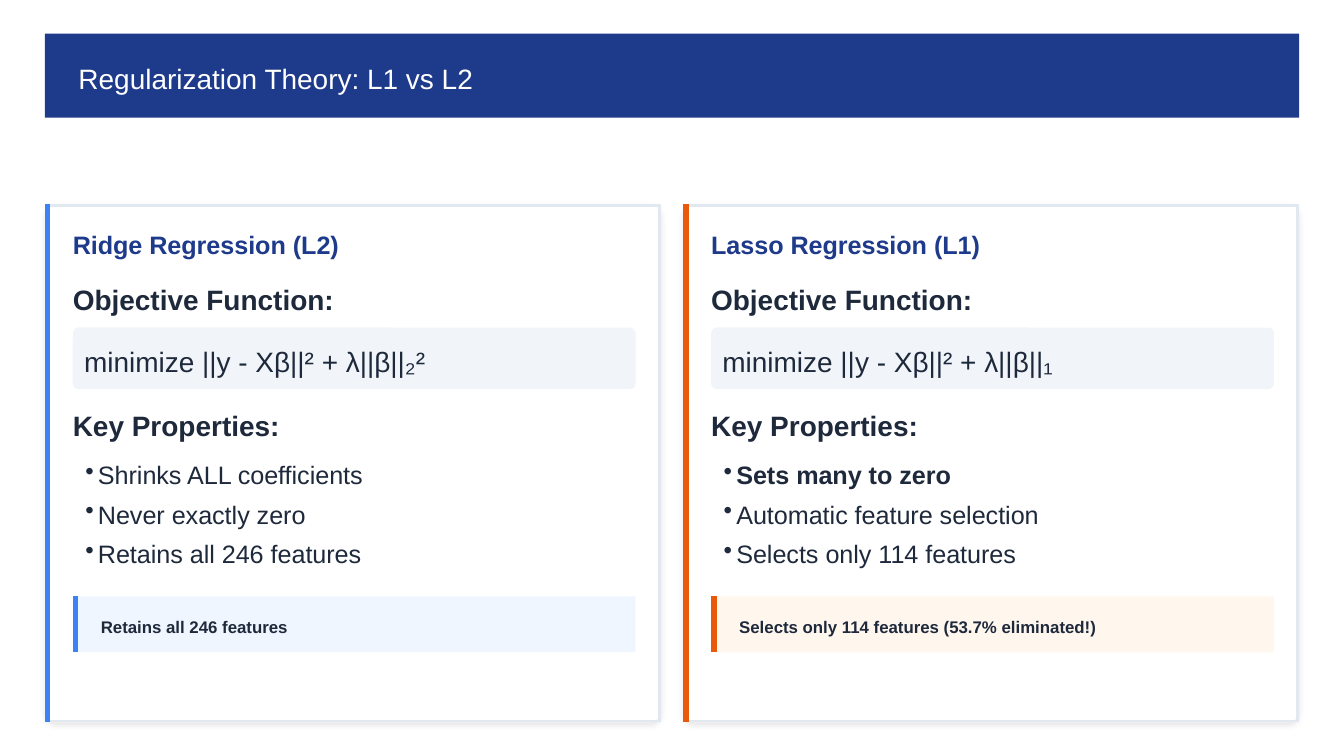
from dataclasses import dataclass

from lxml.etree import SubElement
from pptx import Presentation
from pptx.dml.color import RGBColor
from pptx.enum.shapes import MSO_CONNECTOR as Connector, MSO_SHAPE as Shape
from pptx.enum.text import MSO_ANCHOR as Anchor, MSO_AUTO_SIZE as AutoSize, PP_ALIGN as Align
from pptx.oxml.ns import qn
from pptx.util import Emu, Pt

PX = 9525  # 96 px to the inch


@dataclass(frozen=True)
class Theme:
    font: str = "Arial"
    white: str = "FFFFFF"
    navy: str = "1E3A8A"
    ink: str = "1E293B"
    border: str = "E2E8F0"
    formula: str = "F1F5F9"
    body: float = 15
    item: float = 13.5
    note: float = 9


@dataclass(frozen=True)
class Style:
    size: float
    color: str
    bold: bool = False
    leading: float = 21


@dataclass(frozen=True)
class Item:
    text: str
    bold: bool = False


@dataclass(frozen=True)
class Card:
    left: int
    title: str
    formula: str
    items: tuple[Item, ...]
    note: str
    accent: str
    tint: str


THEME = Theme()
TITLE = Style(THEME.body, THEME.white)
CARD_TITLE = Style(THEME.item, THEME.navy, True, 16.2)
HEADING = Style(THEME.body, THEME.ink, True)
FORMULA = Style(THEME.body, THEME.ink)
ITEM = Style(THEME.item, THEME.ink)
ITEM_BOLD = Style(THEME.item, THEME.ink, True)
NOTE = Style(THEME.note, THEME.ink, True, 12.6)

CARD_TOP, CARD_WIDTH, CARD_HEIGHT = 146, 440, 370
INNER_WIDTH = 402

CARDS = (
    Card(32, "Ridge Regression (L2)", "minimize ||y - Xβ||² + λ||β||₂²",
         (Item("Shrinks ALL coefficients"), Item("Never exactly zero"),
          Item("Retains all 246 features")),
         "Retains all 246 features", "3B82F6", "EFF6FF"),
    Card(488, "Lasso Regression (L1)", "minimize ||y - Xβ||² + λ||β||₁",
         (Item("Sets many to zero", True), Item("Automatic feature selection"),
          Item("Selects only 114 features")),
         "Selects only 114 features (53.7% eliminated!)", "EA580C", "FFF7ED"),
)


def px(*lengths: int) -> list[Emu]:
    return [Emu(length * PX) for length in lengths]


def add_block(slide, left: int, top: int, width: int, height: int, fill: str, radius: int = 0):
    kind = Shape.ROUNDED_RECTANGLE if radius else Shape.RECTANGLE
    block = slide.shapes.add_shape(kind, *px(left, top, width, height))
    if radius:
        block.adjustments[0] = radius / min(width, height)
    block.shadow.inherit = False
    block.fill.solid()
    block.fill.fore_color.rgb = RGBColor.from_string(fill)
    block.line.fill.background()
    return block


def add_soft_shadow(block) -> None:
    effects = block._element.spPr.find(qn("a:effectLst"))
    shadow = SubElement(effects, qn("a:outerShdw"), blurRad=str(Pt(3)), dist=str(Pt(1.5)),
                        dir="5400000", algn="bl", rotWithShape="0")
    color = SubElement(shadow, qn("a:srgbClr"), val="000000")
    SubElement(color, qn("a:alpha"), val="10000")


def add_line(slide, x1: int, y1: int, x2: int, y2: int, color: str, weight: float) -> None:
    line = slide.shapes.add_connector(Connector.STRAIGHT, *px(x1, y1, x2, y2))
    line.line.color.rgb = RGBColor.from_string(color)
    line.line.width = Pt(weight)
    SubElement(line._element.spPr, qn("a:effectLst"))


def format_frame(frame, inset: int = 0) -> None:
    frame.word_wrap = True
    frame.auto_size = AutoSize.NONE
    frame.vertical_anchor = Anchor.TOP
    frame.margin_left = Emu(inset * PX)
    frame.margin_top = frame.margin_right = frame.margin_bottom = 0


def write(para, text: str, style: Style) -> None:
    para.text = text
    para.alignment = Align.LEFT
    para.line_spacing = Pt(style.leading)
    para.font.name = THEME.font
    para.font.size = Pt(style.size)
    para.font.bold = style.bold
    para.font.color.rgb = RGBColor.from_string(style.color)


def add_text(slide, left: int, top: int, width: int, height: int, text: str, style: Style) -> None:
    box = slide.shapes.add_textbox(*px(left, top, width, height))
    format_frame(box.text_frame)
    write(box.text_frame.paragraphs[0], text, style)


def add_bullets(slide, left: int, top: int, width: int, height: int,
                items: tuple[Item, ...]) -> None:
    box = slide.shapes.add_textbox(*px(left, top, width, height))
    frame = box.text_frame
    format_frame(frame, inset=9)
    for index, item in enumerate(items):
        para = frame.add_paragraph() if index else frame.paragraphs[0]
        properties = para._p.get_or_add_pPr()
        properties.set("marL", str(9 * PX))
        properties.set("indent", str(-9 * PX))
        SubElement(properties, qn("a:buChar"), char="•")
        write(para, item.text, ITEM_BOLD if item.bold else ITEM)


def add_header(slide, text: str) -> None:
    add_block(slide, 32, 24, 896, 60, THEME.navy)
    title = slide.shapes.title
    title.left, title.top, title.width, title.height = px(56, 40, 865, 28)
    format_frame(title.text_frame)
    write(title.text_frame.paragraphs[0], text, TITLE)
    # Bring the title in front of its band
    slide.shapes._spTree.append(title._element)


def add_card(slide, card: Card) -> None:
    left, right = card.left, card.left + CARD_WIDTH
    top, bottom = CARD_TOP, CARD_TOP + CARD_HEIGHT
    inner = left + 20

    # Panel with its border and accent edge
    add_soft_shadow(add_block(slide, left, top, CARD_WIDTH, CARD_HEIGHT, THEME.white, radius=8))
    add_line(slide, left, top + 1, right, top + 1, THEME.border, 1.5)
    add_line(slide, right - 1, top, right - 1, bottom, THEME.border, 1.5)
    add_line(slide, left, bottom - 1, right, bottom - 1, THEME.border, 1.5)
    add_line(slide, left + 2, top, left + 2, bottom, card.accent, 3)

    # Objective function
    add_text(slide, inner, 164, 410, 21, card.title, CARD_TITLE)
    add_text(slide, inner, 198, 410, 28, "Objective Function:", HEADING)
    add_block(slide, inner, 234, INNER_WIDTH, 44, THEME.formula, radius=4)
    add_text(slide, inner + 8, 242, 394, 28, card.formula, FORMULA)

    # Key properties
    add_text(slide, inner, 288, 410, 28, "Key Properties:", HEADING)
    add_bullets(slide, inner, 322, INNER_WIDTH, 92, card.items)

    # Highlighted note
    add_block(slide, inner, 426, INNER_WIDTH, 40, card.tint)
    add_line(slide, inner + 2, 426, inner + 2, 466, card.accent, 3)
    add_text(slide, inner + 20, 438, 374, 16, card.note, NOTE)


def main() -> None:
    deck = Presentation()
    deck.slide_width, deck.slide_height = px(960, 540)
    slide = deck.slides.add_slide(deck.slide_layouts[5])
    add_header(slide, "Regularization Theory: L1 vs L2")
    for card in CARDS:
        add_card(slide, card)
    deck.save("out.pptx")


if __name__ == "__main__":
    main()
